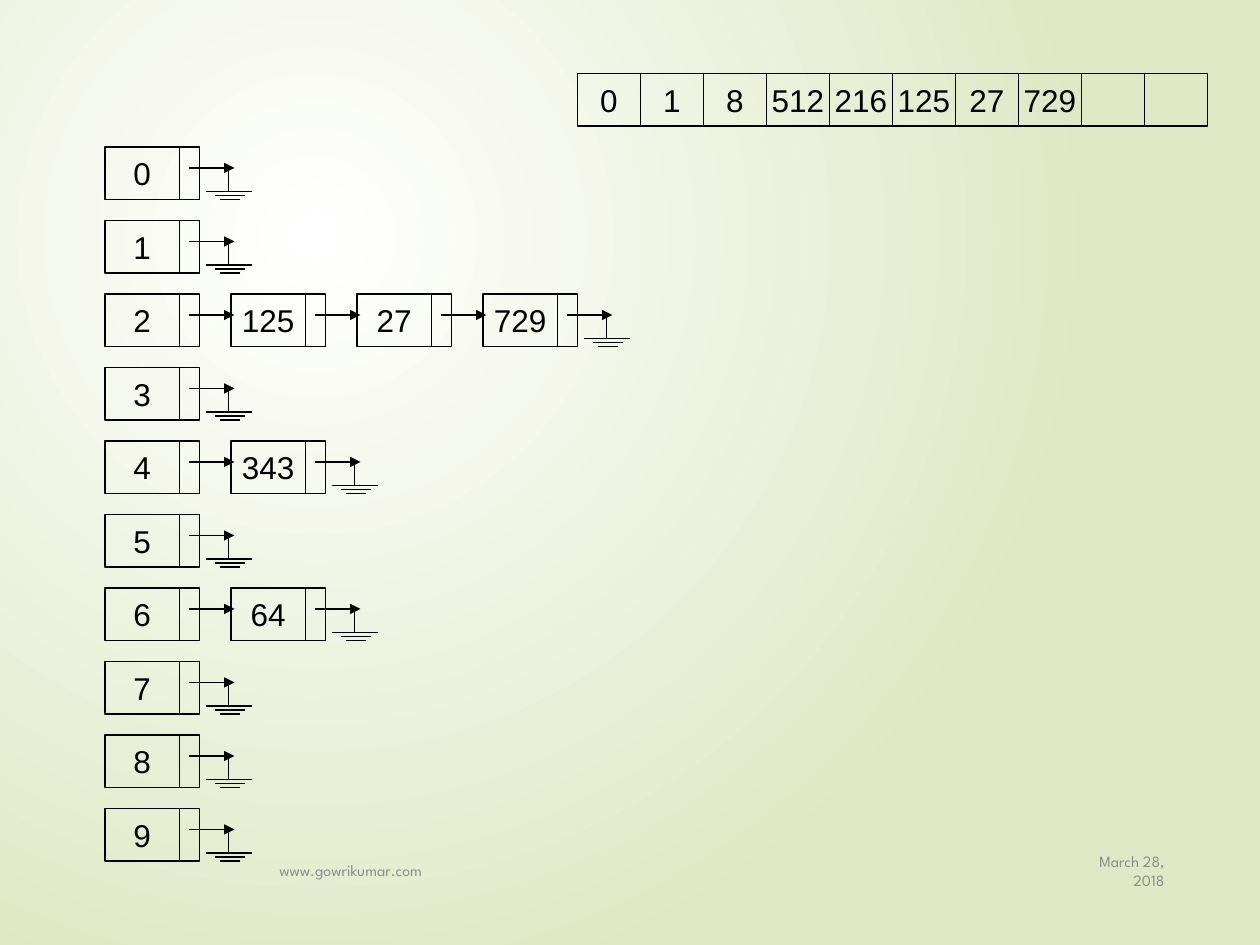
import pptx
import pptx.dml.color
import pptx.enum.shapes
import pptx.enum.text
import pptx.oxml
import pptx.oxml.ns
import pptx.util
from lxml import etree

Pt = pptx.util.Pt
qn = pptx.oxml.ns.qn
ALIGN = pptx.enum.text.PP_ALIGN

BLACK = pptx.dml.color.RGBColor(0x00, 0x00, 0x00)
GRAY = pptx.dml.color.RGBColor(0x8C, 0x8C, 0x8C)
WHITE = pptx.dml.color.RGBColor(0xFF, 0xFF, 0xFF)
PALE_GREEN = pptx.dml.color.RGBColor(0xDF, 0xE8, 0xC4)

KEYS = ["0", "1", "8", "512", "216", "125", "27", "729", "", ""]
CHAINS = {2: ["125", "27", "729"], 4: ["343"], 6: ["64"]}
BUCKET_COUNT = 10
ROW_PITCH = 42
NODE_PITCH = 72
NODE_HEIGHT = 30
VALUE_WIDTH = 42.5
LINK_WIDTH = 11.5
GROUND_LINES = [
    (58, 25.5, 84, 25.5),
    (65.5, 30, 77, 30),
    (63, 27.75, 80, 27.75),
    (70.5, 25.5, 70.5, 12),
]


def paint_background(slide):
    """Fill the slide with a circular gradient centred in its upper left."""
    fill = slide.background.fill
    fill.gradient()
    for stop, color in zip(fill.gradient_stops, (WHITE, PALE_GREEN)):
        stop.color.rgb = color
    gradient = next(slide.element.iter(qn("a:gradFill")))
    circle = etree.Element(qn("a:path"), path="circle")
    etree.SubElement(circle, qn("a:fillToRect"), l="50000", t="50000", r="100000", b="100000")
    gradient.replace(gradient.find(qn("a:lin")), circle)


def write_run(paragraph, text, font_name, size, color):
    """Add one formatted run to a paragraph."""
    run = paragraph.add_run()
    run.text = text
    run.font.name = font_name
    run.font.size = Pt(size)
    run.font.color.rgb = color


def add_cell(shapes, left, top, width, height, text=""):
    """Draw an outlined box with an optional centred number."""
    cell = shapes.add_shape(
        pptx.enum.shapes.MSO_SHAPE.RECTANGLE, Pt(left), Pt(top), Pt(width), Pt(height)
    )
    cell.shadow.inherit = False
    cell.fill.background()
    cell.line.color.rgb = BLACK
    cell.line.width = Pt(0.75)
    if text:
        frame = cell.text_frame
        frame.word_wrap = False
        frame.vertical_anchor = pptx.enum.text.MSO_ANCHOR.MIDDLE
        frame.paragraphs[0].alignment = ALIGN.CENTER
        write_run(frame.paragraphs[0], text, "Arial", 18, BLACK)


def add_line(shapes, x1, y1, x2, y2, arrow=False):
    """Draw a thin straight line, with an arrowhead at its end if asked."""
    line = shapes.add_connector(
        pptx.enum.shapes.MSO_CONNECTOR.STRAIGHT, Pt(x1), Pt(y1), Pt(x2), Pt(y2)
    )
    line.line.color.rgb = BLACK
    line.line.width = Pt(0.75)
    if arrow:
        etree.SubElement(line.get_or_add_ln(), qn("a:tailEnd"), type="triangle")
    etree.SubElement(line.element.spPr, qn("a:effectLst"))


def add_node(slide, left, top, text, is_last):
    """Group a value cell, its link and, on the last node, the ground symbol."""
    shapes = slide.shapes.add_group_shape().shapes
    add_cell(shapes, left, top, VALUE_WIDTH, NODE_HEIGHT, text)
    add_cell(shapes, left + VALUE_WIDTH, top, LINK_WIDTH, NODE_HEIGHT)
    add_line(shapes, left + 48, top + 12, left + 74, top + 12, arrow=True)
    if is_last:
        for x1, y1, x2, y2 in GROUND_LINES:
            add_line(shapes, left + x1, top + y1, left + x2, top + y2)


def add_buckets(slide, left, top):
    """Draw the column of buckets with the chain that hangs on each."""
    for bucket in range(BUCKET_COUNT):
        chain = [str(bucket)] + CHAINS.get(bucket, [])
        for position, text in enumerate(chain):
            add_node(
                slide,
                left + position * NODE_PITCH,
                top + bucket * ROW_PITCH,
                text,
                position == len(chain) - 1,
            )


def add_key_array(slide, left, top, width, height):
    """Draw the row of equal cells that holds the keys."""
    cell_width = width / len(KEYS)
    for index, key in enumerate(KEYS):
        add_cell(slide.shapes, left + index * cell_width, top, cell_width, height, key)


def add_footer(slide, left, top, width, height, text, alignment):
    """Place a small gray footer text."""
    frame = slide.shapes.add_textbox(Pt(left), Pt(top), Pt(width), Pt(height)).text_frame
    frame.word_wrap = True
    frame.vertical_anchor = pptx.enum.text.MSO_ANCHOR.MIDDLE
    frame.paragraphs[0].alignment = alignment
    write_run(frame.paragraphs[0], text, "League Spartan", 9, GRAY)


def main():
    """Build the slide and save it."""
    presentation = pptx.Presentation()
    presentation.slide_width = Pt(720)
    presentation.slide_height = Pt(540)
    slide = presentation.slides.add_slide(presentation.slide_layouts[6])
    paint_background(slide)
    add_footer(slide, 612, 483, 60.5, 29, "March 28, 2018", ALIGN.RIGHT)
    add_footer(slide, 152.5, 483, 450, 29, "www.gowrikumar.com", ALIGN.LEFT)
    add_buckets(slide, 60, 84)
    add_key_array(slide, 330, 42, 360, 30)
    presentation.save("out.pptx")


if __name__ == "__main__":
    main()
